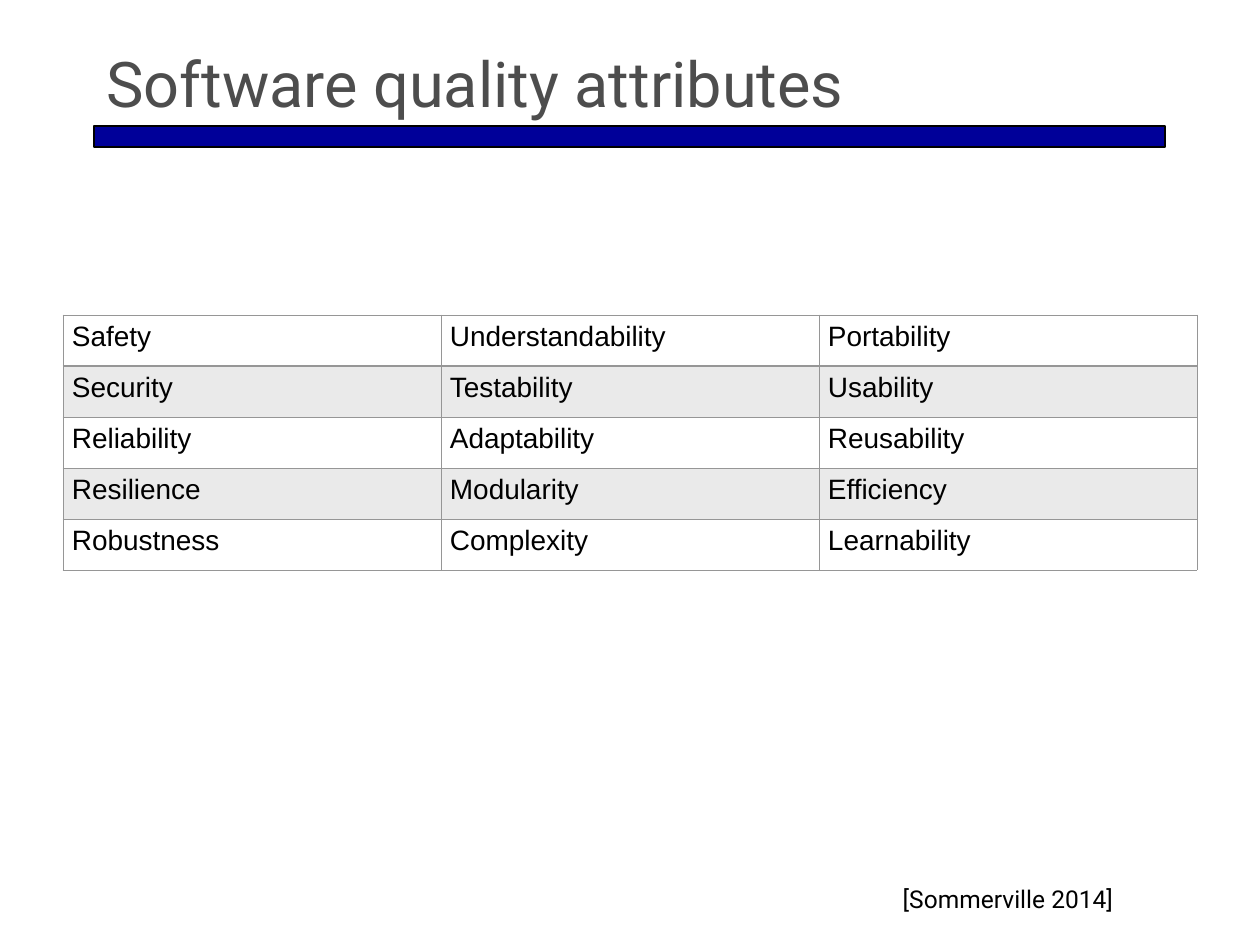
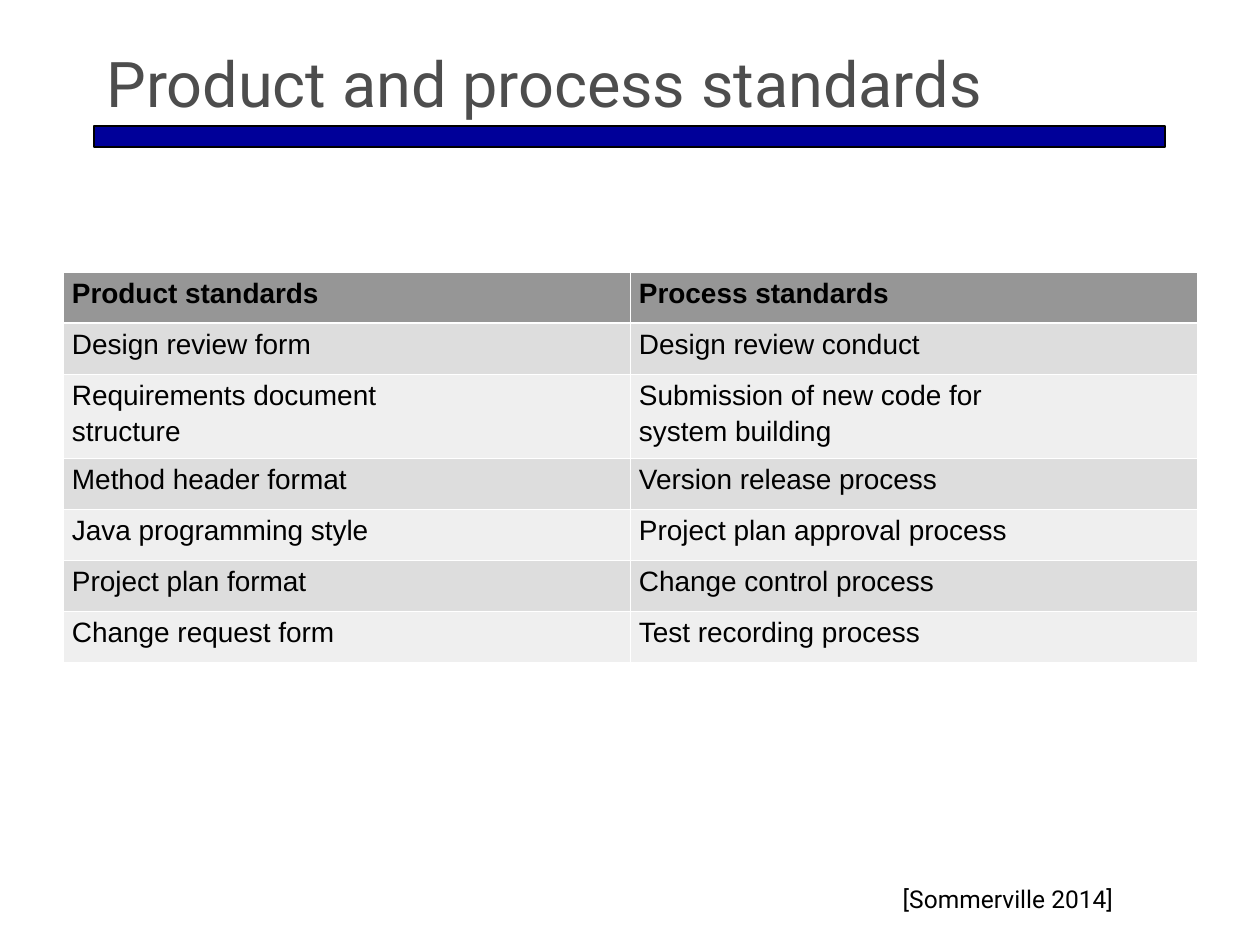
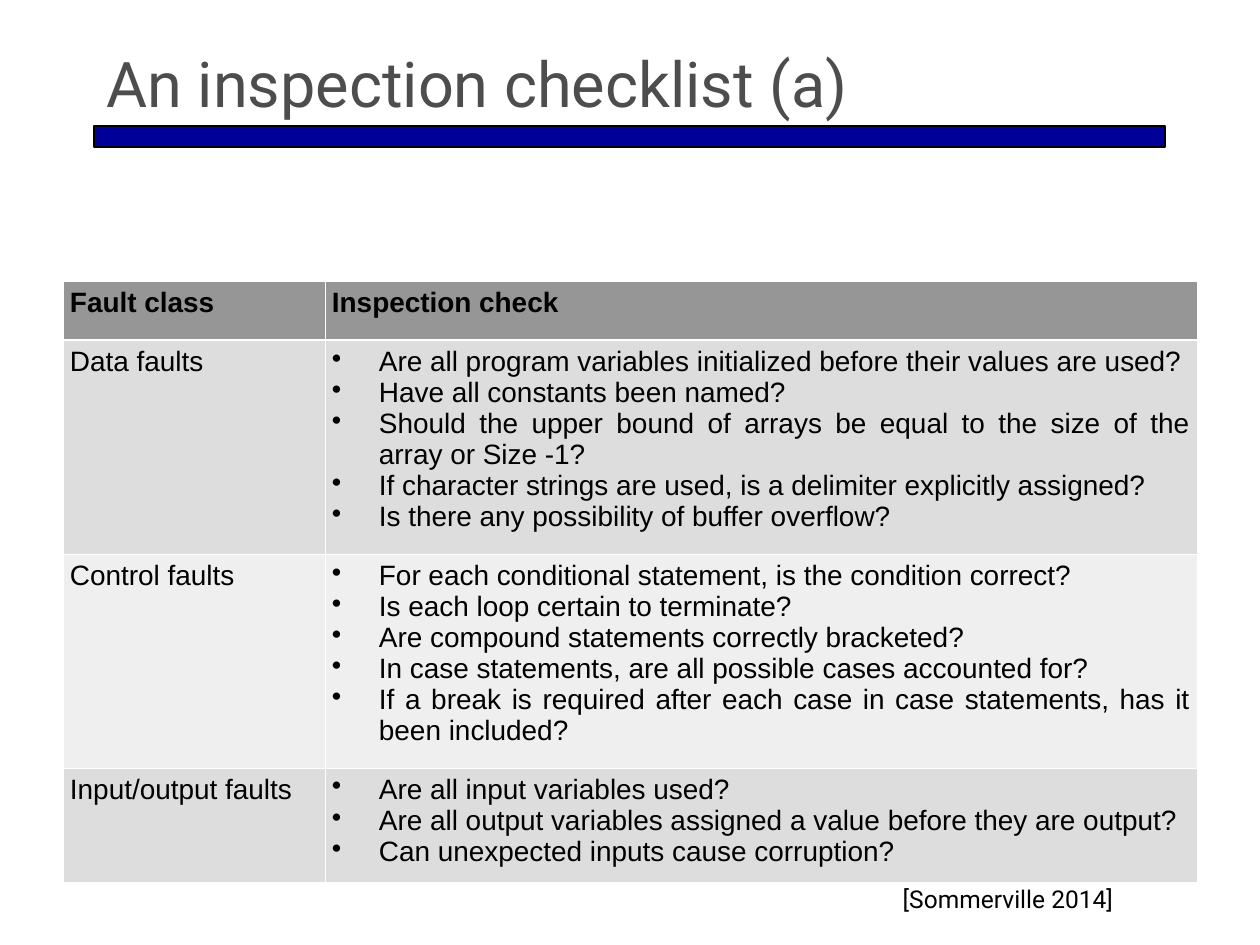
from lxml import etree
from pptx import Presentation
from pptx.dml.color import RGBColor
from pptx.enum.shapes import MSO_SHAPE
from pptx.enum.text import MSO_ANCHOR, PP_ALIGN
from pptx.oxml.ns import qn
from pptx.util import Emu, Pt

RECT = MSO_SHAPE.RECTANGLE
BOTTOM = MSO_ANCHOR.BOTTOM
LEFT, CENTER, JUSTIFY = PP_ALIGN.LEFT, PP_ALIGN.CENTER, PP_ALIGN.JUSTIFY

NAVY = RGBColor(0x00, 0x00, 0x99)
BLACK = RGBColor(0x00, 0x00, 0x00)
WHITE = RGBColor(0xFF, 0xFF, 0xFF)
TITLE_GRAY = RGBColor(0x4D, 0x4D, 0x4D)
GRAY = RGBColor(0x96, 0x96, 0x96)
BAND_DARK = RGBColor(0xDD, 0xDD, 0xDD)
BAND_LIGHT = RGBColor(0xEF, 0xEF, 0xEF)
BAND_PALE = RGBColor(0xEA, 0xEA, 0xEA)

HEAD_FONT, BODY_FONT = "Roboto", "Arial"
PX_PER_INCH = 126
TABLE_LEFT = 63
BULLET_INDENT = 47
THIN = 0.45
FOOTER = "[Sommerville 2014]"

# Content: a cell is a string, a tuple of paragraphs or a list of bullets
ATTRIBUTES = [
    ("Safety", "Understandability", "Portability"),
    ("Security", "Testability", "Usability"),
    ("Reliability", "Adaptability", "Reusability"),
    ("Resilience", "Modularity", "Efficiency"),
    ("Robustness", "Complexity", "Learnability"),
]
STANDARDS = [
    ("Product standards", "Process standards"),
    ("Design review form", "Design review conduct"),
    (("Requirements document", "structure"),
     ("Submission of new code for", "system building")),
    ("Method header format", "Version release process"),
    ("Java programming style", "Project plan approval process"),
    ("Project plan format", "Change control process"),
    ("Change request form", "Test recording process"),
]
CHECKLIST = [
    ("Fault class", "Inspection check"),
    ("Data faults", [
        "Are all program variables initialized before their values are used?",
        "Have all constants been named?",
        "Should the upper bound of arrays be equal to the size of the array or Size -1?",
        "If character strings are used, is a delimiter explicitly assigned?",
        "Is there any possibility of buffer overflow?",
    ]),
    ("Control faults", [
        "For each conditional statement, is the condition correct?",
        "Is each loop certain to terminate?",
        "Are compound statements correctly bracketed?",
        "In case statements, are all possible cases accounted for?",
        "If a break is required after each case in case statements, has it been included?",
    ]),
    ("Input/output faults", [
        "Are all input variables used?",
        "Are all output variables assigned a value before they are output?",
        "Can unexpected inputs cause corruption?",
    ]),
]

# Table looks: border colour, first-row rule width, header fill, body fills in turn
GRID = dict(border=GRAY, rule=0.96, header=None, bands=(None, BAND_PALE))
BANDED = dict(border=WHITE, rule=1.47, header=GRAY, bands=(BAND_LIGHT, BAND_DARK))

SLIDES = [
    dict(title="Software quality attributes", rows=ATTRIBUTES, look=GRID, top=315,
         widths=[378] * 3, heights=[51] * 5, aligns=[JUSTIFY] * 3, inset=9, after=3),
    dict(title="Product and process standards", rows=STANDARDS, look=BANDED, top=272,
         widths=[567] * 2, heights=[51, 51, 81] + [51] * 4,
         aligns=[LEFT, JUSTIFY], inset=9, after=3),
    dict(title="An inspection checklist (a)", rows=CHECKLIST, look=BANDED, top=281,
         widths=[262, 872], heights=[59, 214, 214, 114],
         aligns=[JUSTIFY] * 2, inset=7, after=0),
]


def px(n):
    return Emu(round(n * 914400 / PX_PER_INCH))


def add_run(p, text, font, size, color, bold=False):
    r = p.add_run()
    r.text = text
    r.font.name, r.font.size, r.font.bold = font, Pt(size), bold
    r.font.color.rgb = color


def add_text(s, box, text, size, color, align):
    tf = s.shapes.add_textbox(*map(px, box)).text_frame
    tf.word_wrap = True
    tf.vertical_anchor = BOTTOM
    p = tf.paragraphs[0]
    p.alignment = align
    add_run(p, text, HEAD_FONT, size, color)


def add_frame(s, title):
    """Title, bar below it and citation."""
    bar = s.shapes.add_shape(RECT, *map(px, (94, 126, 1071, 21)))
    bar.shadow.inherit = False
    bar.fill.solid()
    bar.fill.fore_color.rgb = NAVY
    bar.line.color.rgb = BLACK
    bar.line.width = Pt(0.75)
    add_text(s, (94, 42, 1071, 84), title, 36, TITLE_GRAY, LEFT)
    add_text(s, (808, 857, 400, 63), FOOTER, 14, BLACK, CENTER)


def add_color(parent, tag, color):
    fill = etree.SubElement(parent, qn(tag))
    etree.SubElement(fill, qn("a:srgbClr"), val=str(color))


def set_borders(cell, color, top, bottom):
    tc_pr = cell._tc.get_or_add_tcPr()
    for side, width in (("L", THIN), ("R", THIN), ("T", top), ("B", bottom)):
        ln = etree.SubElement(tc_pr, qn("a:ln" + side), w=str(Pt(width)))
        add_color(ln, "a:solidFill", color)


def set_bullet(p):
    p_pr = p._p.get_or_add_pPr()
    p_pr.set("marL", str(px(BULLET_INDENT)))
    p_pr.set("indent", str(-px(BULLET_INDENT)))
    add_color(p_pr, "a:buClr", BLACK)
    etree.SubElement(p_pr, qn("a:buChar"), char="•")


def fill_cell(cell, content, align, after, bold):
    tf = cell.text_frame
    lines = [content] if isinstance(content, str) else content
    for i, line in enumerate(lines):
        p = tf.add_paragraph() if i else tf.paragraphs[0]
        p.alignment = align
        p.space_after = Pt(after)
        if isinstance(content, list):
            set_bullet(p)
        add_run(p, line, BODY_FONT, 16, BLACK, bold)


def add_grid(s, rows, look, top, widths, heights, aligns, inset, after):
    table = s.shapes.add_table(len(rows), len(widths), px(TABLE_LEFT), px(top),
                               px(sum(widths)), px(sum(heights))).table
    table.first_row = table.horz_banding = False
    for column, width in zip(table.columns, widths):
        column.width = px(width)
    for i, row in enumerate(rows):
        table.rows[i].height = px(heights[i])
        is_header = i == 0 and look["header"] is not None
        color = look["header"] if is_header else look["bands"][i % 2]
        for j, content in enumerate(row):
            cell = table.cell(i, j)
            cell.margin_left = cell.margin_right = px(inset)
            cell.margin_top = cell.margin_bottom = px(6)
            set_borders(cell, look["border"],
                        look["rule"] if i == 1 else THIN,
                        look["rule"] if i == 0 else THIN)
            if color is None:
                cell.fill.background()
            else:
                cell.fill.solid()
                cell.fill.fore_color.rgb = color
            fill_cell(cell, content, JUSTIFY if is_header else aligns[j], after, is_header)


def main():
    prs = Presentation()
    prs.slide_width, prs.slide_height = px(1260), px(945)
    for slide in SLIDES:
        s = prs.slides.add_slide(prs.slide_layouts[6])
        add_frame(s, slide["title"])
        add_grid(s, **{key: value for key, value in slide.items() if key != "title"})
    prs.save("out.pptx")


if __name__ == "__main__":
    main()
